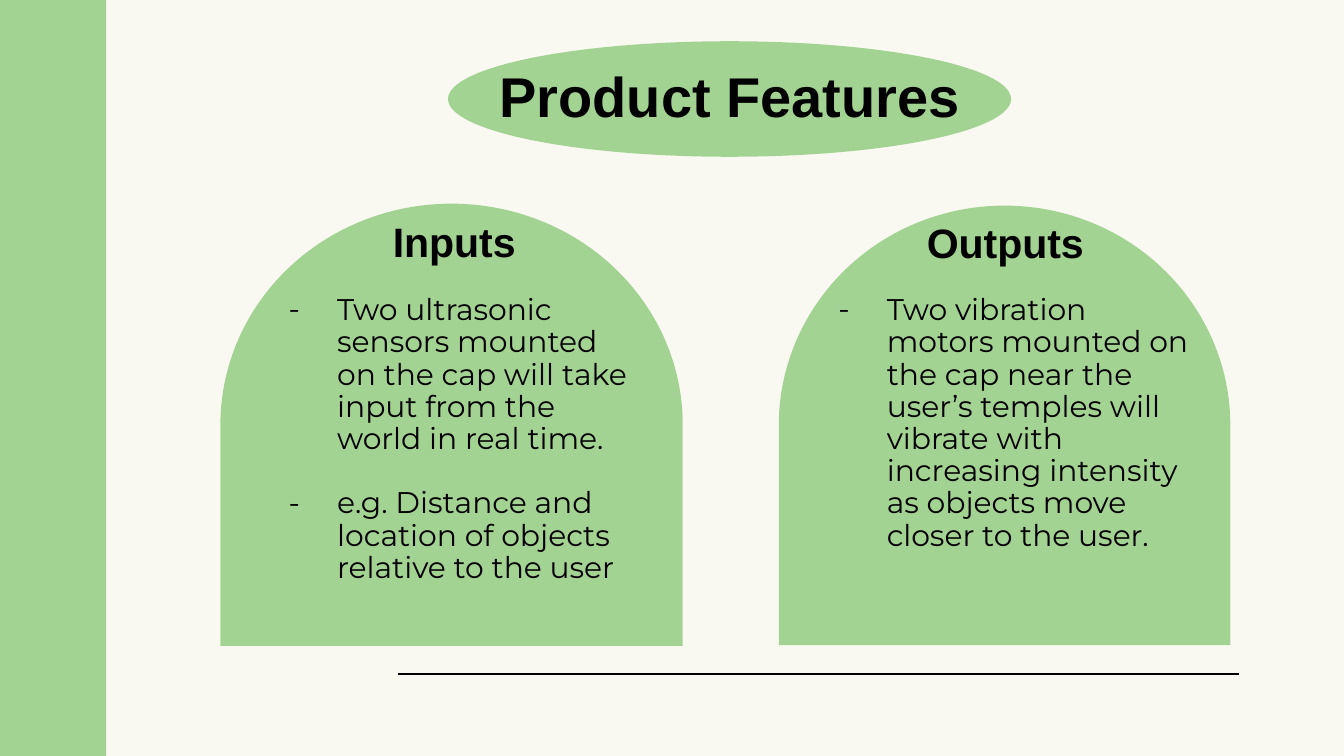
from typing import NamedTuple

from lxml import etree
from pptx import Presentation, util as u
from pptx.dml.color import RGBColor
from pptx.enum import shapes as sh, text as tx
from pptx.oxml.ns import qn

CELL = 0.1  # grid cell in inches: 100 columns by 56.25 rows
COLUMNS, ROWS = 100, 56.25
CREAM, GREEN, BLACK = "F9F9F1", "A3D392", "000000"


class Box(NamedTuple):
    col: float
    row: float
    cols: float
    rows: float


class Feature(NamedTuple):
    heading: str
    points: list[str]
    arch: Box
    heading_box: Box
    body_box: Box


FEATURES = [
    Feature(
        "Inputs",
        ["Two ultrasonic sensors mounted on the cap will take input from the "
         "world in real time.",
         "e.g. Distance and location of objects relative to the user"],
        Box(16.4, 15.15, 34.4, 32.9),
        Box(17.85, 16, 31.9, 4.3),
        Box(19.1, 21.45, 29.5, 26.7),
    ),
    Feature(
        "Outputs",
        ["Two vibration motors mounted on the cap near the user’s temples will "
         "vibrate with increasing intensity as objects move closer to the user."],
        Box(57.95, 15.3, 33.6, 32.7),
        Box(58.85, 16.1, 31.9, 4.3),
        Box(60, 21.45, 29.5, 26.7),
    ),
]


def grid(cells: float) -> u.Emu:
    return u.Inches(cells * CELL)


def color(value: str) -> RGBColor:
    return RGBColor.from_string(value)


def add_panel(slide, kind: sh.MSO_SHAPE, box: Box, turned: bool = False) -> None:
    """Draw a plain green shape; a turned one is rotated to fill its box upright."""
    col, row, cols, rows = box
    if turned:
        col, row = col + (cols - rows) / 2, row + (rows - cols) / 2
        cols, rows = rows, cols
    panel = slide.shapes.add_shape(kind, *map(grid, (col, row, cols, rows)))
    panel.rotation = 270 if turned else 0
    panel.shadow.inherit = False
    panel.fill.solid()
    panel.fill.fore_color.rgb = color(GREEN)
    panel.line.fill.background()


def add_dash(paragraph, font: str) -> None:
    properties = paragraph._p.get_or_add_pPr()
    properties.set("marL", str(u.Inches(0.5)))
    properties.set("indent", str(u.Inches(-0.36)))
    bullet_color = etree.SubElement(properties, qn("a:buClr"))
    etree.SubElement(bullet_color, qn("a:srgbClr"), val=BLACK)
    etree.SubElement(properties, qn("a:buFont"), typeface=font)
    etree.SubElement(properties, qn("a:buChar"), char="-")


def add_text(slide, box: Box, lines: list[str], *, size: float,
             font: str = "Arial", bold: bool = True, dashed: bool = False,
             align=tx.PP_ALIGN.CENTER, anchor=tx.MSO_ANCHOR.MIDDLE,
             gap: float = 0) -> None:
    frame = slide.shapes.add_textbox(*map(grid, box)).text_frame
    frame.word_wrap = True
    frame.vertical_anchor = anchor
    for index, line in enumerate(lines):
        paragraph = frame.add_paragraph() if index else frame.paragraphs[0]
        paragraph.alignment = align
        paragraph.line_spacing = 0.9
        paragraph.space_before = u.Pt(gap if index else 0)
        if dashed:
            add_dash(paragraph, font)
        run = paragraph.add_run()
        run.text = line
        run.font.size = u.Pt(size)
        run.font.name = font
        run.font.bold = bold
        run.font.color.rgb = color(BLACK)


def add_rule(slide, start: float, end: float, row: float) -> None:
    rule = slide.shapes.add_connector(
        sh.MSO_CONNECTOR.STRAIGHT, *map(grid, (start, row, end, row)))
    rule.line.color.rgb = color(BLACK)
    rule.line.width = u.Pt(1)
    etree.SubElement(rule._element.spPr, qn("a:effectLst"))


def main() -> None:
    deck = Presentation()
    deck.slide_width, deck.slide_height = grid(COLUMNS), grid(ROWS)
    slide = deck.slides.add_slide(deck.slide_layouts[6])
    slide.background.fill.solid()
    slide.background.fill.fore_color.rgb = color(CREAM)

    # Side band and bottom rule
    add_panel(slide, sh.MSO_SHAPE.RECTANGLE, Box(0, 0, 7.9, ROWS))
    add_rule(slide, 29.6, 92.2, 50.13)

    # Title on its ellipse
    add_panel(slide, sh.MSO_SHAPE.OVAL, Box(33.33, 3.07, 41.9, 8.6))
    add_text(slide, Box(12.2, 5.23, 84.2, 4.3), ["Product Features"], size=30)

    # Arched feature cards
    for feature in FEATURES:
        add_panel(slide, sh.MSO_SHAPE.FLOWCHART_DELAY, feature.arch, turned=True)
        add_text(slide, feature.heading_box, [feature.heading], size=22)
        add_text(slide, feature.body_box, feature.points, size=16,
                 font="Montserrat", bold=False, dashed=True, gap=17.3,
                 align=tx.PP_ALIGN.LEFT, anchor=tx.MSO_ANCHOR.TOP)

    deck.save("out.pptx")


if __name__ == "__main__":
    main()
